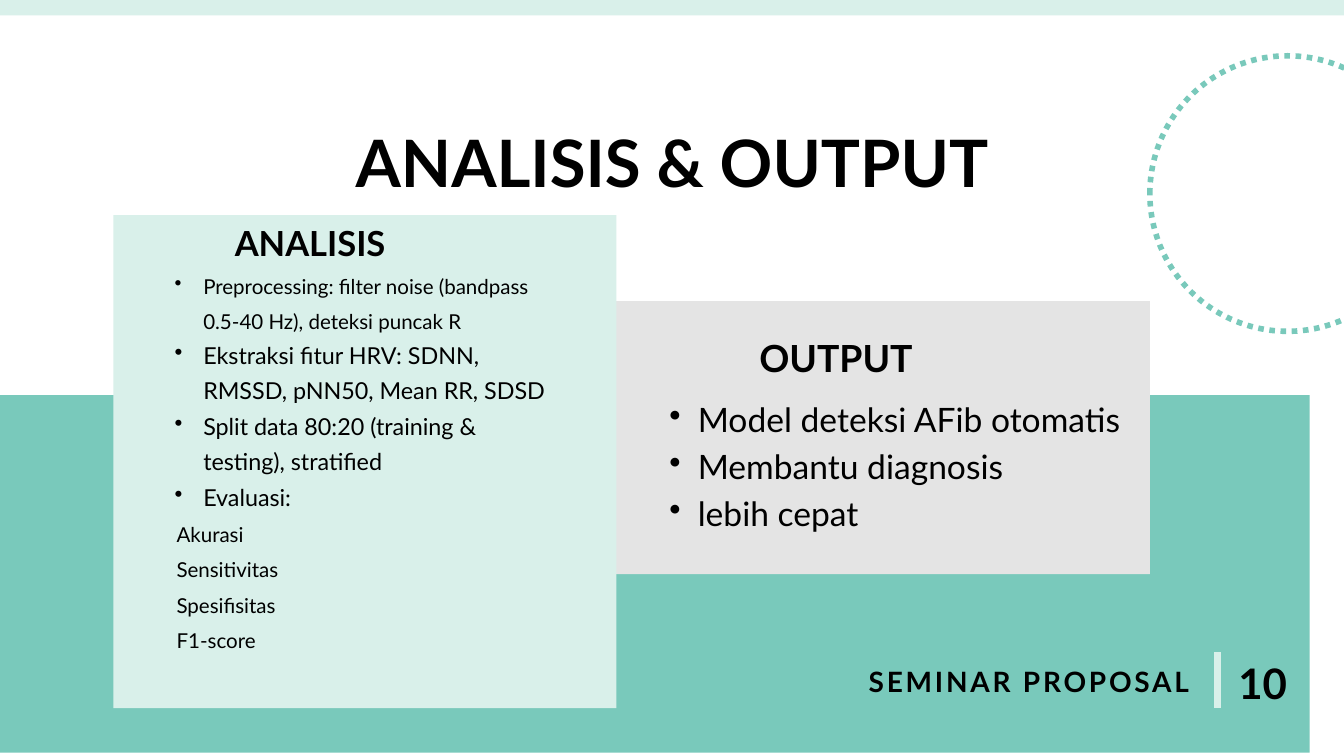
"""Build the analysis and output slide of a seminar proposal deck."""
from dataclasses import dataclass

import pptx
import pptx.dml.color
import pptx.enum.dml
import pptx.enum.shapes
import pptx.enum.text
import pptx.oxml
import pptx.oxml.ns
import pptx.util

Pt = pptx.util.Pt
Kind = pptx.enum.shapes.MSO_SHAPE
Align = pptx.enum.text.PP_ALIGN
FONT = "Lato"
TEAL, MINT, GREY, BLACK = "79C9BB", "D9F0EA", "E4E4E4", "000000"


@dataclass
class Box:
    left: float
    top: float
    width: float
    height: float


@dataclass
class Line:
    text: str
    size: float
    lead: float
    align: Align = Align.LEFT
    bold: bool = False
    track: float = 0
    margin: float = 0
    hang: float = 0


@dataclass
class Block:
    box: Box
    lines: list[Line]


def color(code: str):
    return pptx.dml.color.RGBColor.from_string(code)


def place(shape, box: Box):
    shape.left, shape.top = Pt(box.left), Pt(box.top)
    shape.width, shape.height = Pt(box.width), Pt(box.height)


def panel(slide, box: Box, fill: str):
    shape = slide.shapes.add_shape(Kind.RECTANGLE, 0, 0, 0, 0)
    place(shape, box)
    shape.shadow.inherit = False
    shape.fill.solid()
    shape.fill.fore_color.rgb = color(fill)
    shape.line.fill.background()


def ring(slide, box: Box):
    shape = slide.shapes.add_shape(Kind.OVAL, 0, 0, 0, 0)
    place(shape, box)
    shape.shadow.inherit = False
    shape.fill.background()
    shape.line.color.rgb = color(TEAL)
    shape.line.width = Pt(6)
    shape.line.dash_style = pptx.enum.dml.MSO_LINE.ROUND_DOT


def rule(slide, left: float, top: float, end: float):
    line = slide.shapes.add_connector(
        pptx.enum.shapes.MSO_CONNECTOR.STRAIGHT, Pt(left), Pt(top), Pt(left), Pt(end))
    line.line.color.rgb = color(MINT)
    line.line.width = Pt(7.5)
    pptx.oxml.ns.qn("a:effectLst")
    line._element.spPr.append(pptx.oxml.parse_xml(
        f'<a:effectLst {pptx.oxml.ns.nsdecls("a")}/>'))


def indent(para, line: Line):
    props = para._p.get_or_add_pPr()
    props.set("marL", str(Pt(line.margin)))
    props.set("indent", str(-Pt(line.hang)))
    if line.hang:
        props.append(pptx.oxml.parse_xml(
            f'<a:buChar {pptx.oxml.ns.nsdecls("a")} char="•"/>'))


def write(shape, block: Block):
    place(shape, block.box)
    frame = shape.text_frame
    frame.word_wrap = True
    frame.auto_size = pptx.enum.text.MSO_AUTO_SIZE.NONE
    frame.vertical_anchor = pptx.enum.text.MSO_ANCHOR.TOP
    frame.margin_left = frame.margin_right = 0
    frame.margin_top = frame.margin_bottom = 0
    for order, line in enumerate(block.lines):
        para = frame.add_paragraph() if order else frame.paragraphs[0]
        indent(para, line)
        para.alignment = line.align
        para.line_spacing = Pt(line.lead)
        run = para.add_run()
        run.text = line.text
        font = run.font
        font.name, font.size, font.bold = FONT, Pt(line.size), line.bold
        font.color.rgb = color(BLACK)
        if line.track:
            run._r.get_or_add_rPr().set("spc", str(int(line.track * 100)))


def point(text: str, size: float, lead: float, hang: float) -> Line:
    return Line(text, size, lead, margin=2 * hang, hang=hang)


PANELS = [
    (Box(-36.7, 423.4, 1440, 383), TEAL),
    (Box(0, 0, 1440, 16.6), MINT),
    (Box(520.6, 322.6, 711.4, 292.5), GREY),
    (Box(121.4, 230.4, 539, 528.5), MINT),
]

TITLE = Block(Box(371.5, 117.4, 697, 94.3),
              [Line("ANALISIS & OUTPUT", 70, 98, Align.CENTER, True)])

STEPS = [
    ("Preprocessing: filter noise (bandpass 0.5-40 Hz), deteksi puncak R", 22),
    ("Ekstraksi fitur HRV: SDNN, RMSSD, pNN50, Mean RR, SDSD", 25),
    ("Split data 80:20 (training & testing), stratified", 25),
    ("Evaluasi:", 25),
]
SCORES = ["Akurasi", "Sensitivitas", "Spesifisitas", "F1-score"]
GOALS = ["Model deteksi AFib otomatis", "Membantu diagnosis", "lebih cepat"]

BLOCKS = [
    Block(Box(1304, 695.5, 75, 60), [Line("10", 45, 63, Align.RIGHT, True)]),
    Block(Box(900, 705.6, 374.4, 41),
          [Line("SEMINAR PROPOSAL", 30, 42, Align.RIGHT, True, 3)]),
    Block(Box(203.8, 230.4, 257, 49.7),
          [Line("ANALISIS", 37, 51.8, Align.CENTER, True)]),
    Block(Box(767.2, 350.6, 257, 54),
          [Line("OUTPUT", 40, 56, Align.CENTER, True)]),
    Block(Box(156.2, 281.5, 430.6, 500.4),
          [point(text, size, 38, 30.8) for text, size in STEPS]
          + [Line(text, 22, 38, margin=33) for text in SCORES]),
    Block(Box(686.9, 420.5, 740, 250),
          [point(text, 36, 50.4, 30.4) for text in GOALS]),
]


def main():
    deck = pptx.Presentation()
    deck.slide_width, deck.slide_height = Pt(1440), Pt(810)
    slide = deck.slides.add_slide(deck.slide_layouts[5])
    for box, fill in PANELS:
        panel(slide, box, fill)
    rule(slide, 1304, 699, 759)
    ring(slide, Box(1232, 59.8, 295.2, 295.2))
    write(slide.shapes.title, TITLE)
    for block in BLOCKS:
        write(slide.shapes.add_textbox(0, 0, 0, 0), block)
    deck.save("out.pptx")


if __name__ == "__main__":
    main()
